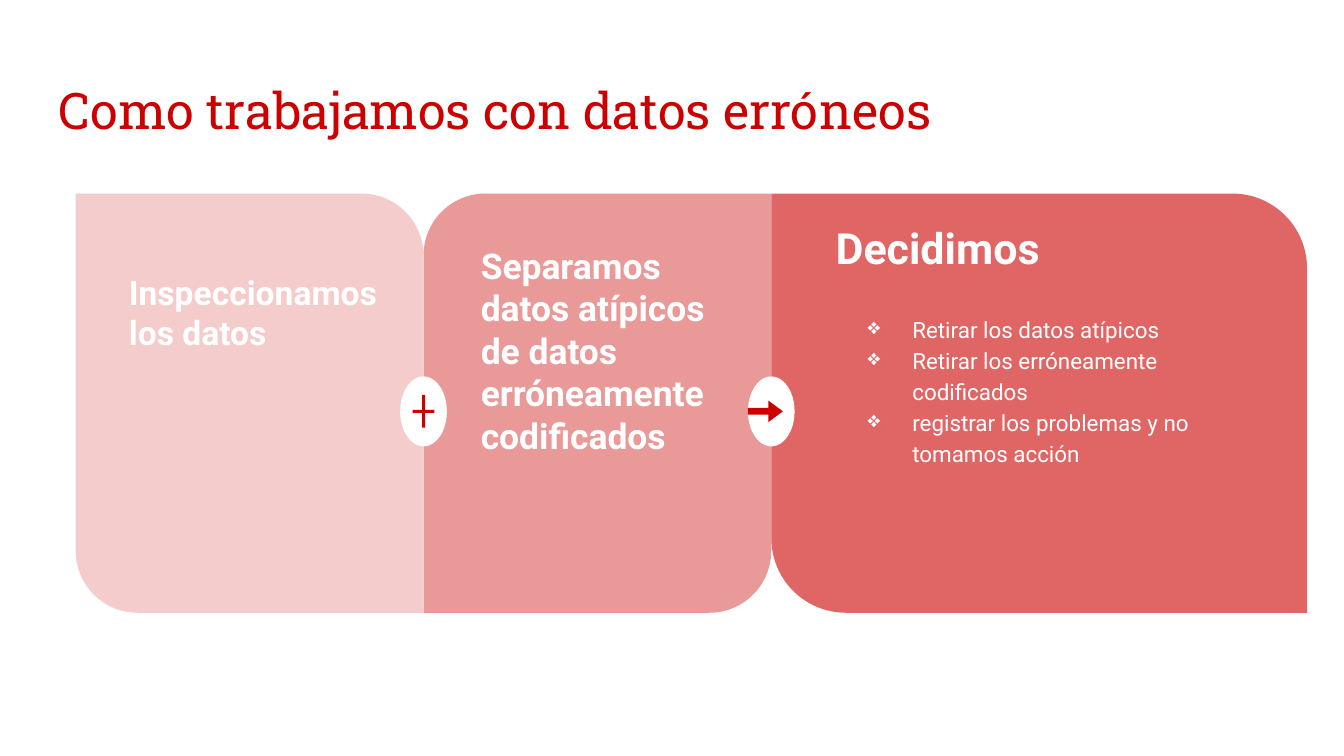
"""Build the slide on how erroneous data are handled."""
import pptx
import pptx.dml.color
import pptx.enum.shapes
import pptx.enum.text
import pptx.oxml
import pptx.oxml.ns
import pptx.util

Pt = pptx.util.Pt
RGBColor = pptx.dml.color.RGBColor
SHAPE = pptx.enum.shapes.MSO_SHAPE

RED = RGBColor(0xCC, 0x00, 0x00)
PALE = RGBColor(0xF4, 0xCC, 0xCC)
MEDIUM = RGBColor(0xEA, 0x99, 0x99)
DEEP = RGBColor(0xE0, 0x66, 0x66)
WHITE = RGBColor(0xFF, 0xFF, 0xFF)

PANEL_TOP, PANEL_HEIGHT = 103.7, 224.6
PANEL_LEFT = 40.6
PANELS = [
    (186.3, PALE, (0, 0.178)),
    (186.3, MEDIUM, (0.178, 0)),
    (287, DEEP, (0, 0.178)),
]
BADGE_WIDTH, BADGE_HEIGHT, BADGE_MIDDLE = 25, 37.5, 220.4
OPTIONS = [
    "Retirar los datos atípicos",
    "Retirar los erróneamente codificados",
    "registrar los problemas y no tomamos acción",
]


def add_figure(slide, kind, left, top, width, height, color, adjustments=()):
    figure = slide.shapes.add_shape(kind, Pt(left), Pt(top), Pt(width), Pt(height))
    figure.shadow.inherit = False
    figure.fill.solid()
    figure.fill.fore_color.rgb = color
    figure.line.fill.background()
    for index, value in enumerate(adjustments):
        figure.adjustments[index] = value


def add_bullet(para):
    properties = para._p.get_or_add_pPr()
    properties.set("marL", str(Pt(36)))
    properties.set("indent", str(-Pt(24)))
    namespace = pptx.oxml.ns.nsdecls("a")
    for xml in (
        f'<a:buClr {namespace}><a:srgbClr val="{WHITE}"/></a:buClr>',
        f'<a:buChar {namespace} char="❖"/>',
    ):
        properties.append(pptx.oxml.parse_xml(xml))


def add_text(slide, lines, left, top, width, height, *, size, font="Roboto",
             color=WHITE, bold=False, spacing=None, bullets=False):
    box = slide.shapes.add_textbox(Pt(left), Pt(top), Pt(width), Pt(height))
    frame = box.text_frame
    frame.word_wrap = True
    frame.vertical_anchor = pptx.enum.text.MSO_ANCHOR.TOP
    frame.margin_left = frame.margin_right = Pt(7.2)
    frame.margin_top = frame.margin_bottom = Pt(7.2)
    for index, line in enumerate(lines):
        para = frame.add_paragraph() if index else frame.paragraphs[0]
        if spacing:
            para.line_spacing = spacing
        if bullets:
            add_bullet(para)
        span = para.add_run()
        span.text = line
        span.font.name = font
        span.font.size = Pt(size)
        span.font.bold = bold
        span.font.color.rgb = color


def add_panels(slide):
    left = PANEL_LEFT
    seams = []
    for width, color, corners in PANELS:
        add_figure(slide, SHAPE.ROUND_2_DIAG_RECTANGLE, left, PANEL_TOP,
                   width, PANEL_HEIGHT, color, corners)
        left += width
        seams.append(left)
    return seams[:-1]


def add_badge(slide, seam, kind, offset, width, height, adjustments):
    add_figure(slide, SHAPE.OVAL, seam - BADGE_WIDTH / 2,
               BADGE_MIDDLE - BADGE_HEIGHT / 2, BADGE_WIDTH, BADGE_HEIGHT, WHITE)
    add_figure(slide, kind, seam + offset, BADGE_MIDDLE - height / 2,
               width, height, RED, adjustments)


def main():
    deck = pptx.Presentation()
    deck.slide_width, deck.slide_height = Pt(720), Pt(405)
    slide = deck.slides.add_slide(deck.slide_layouts[6])
    add_text(slide, ["Como trabajamos con datos erróneos"], 24.5, 35, 671, 45.4,
             size=27, font="Roboto Slab", color=RED)
    first_seam, second_seam = add_panels(slide)
    add_text(slide, ["Inspeccionamos los datos"], 62, 138.5, 150, 65.5,
             size=18, bold=True)
    add_text(slide, ["Separamos datos atípicos de datos erróneamente codificados"],
             250.5, 123.5, 139, 158.4, size=19, bold=True)
    add_text(slide, ["Decidimos"], 440.6, 111.6, 232, 65.5, size=23, bold=True)
    add_text(slide, OPTIONS, 445.7, 160, 232, 117.4, size=12,
             spacing=1.15, bullets=True)
    add_badge(slide, first_seam, SHAPE.MATH_PLUS, -7.9, 15.8, 23.8, (0.099,))
    add_badge(slide, second_seam, SHAPE.RIGHT_ARROW, -12.5, 18.7, 11.5, (0.32, 0.67))
    deck.save("out.pptx")


if __name__ == "__main__":
    main()
